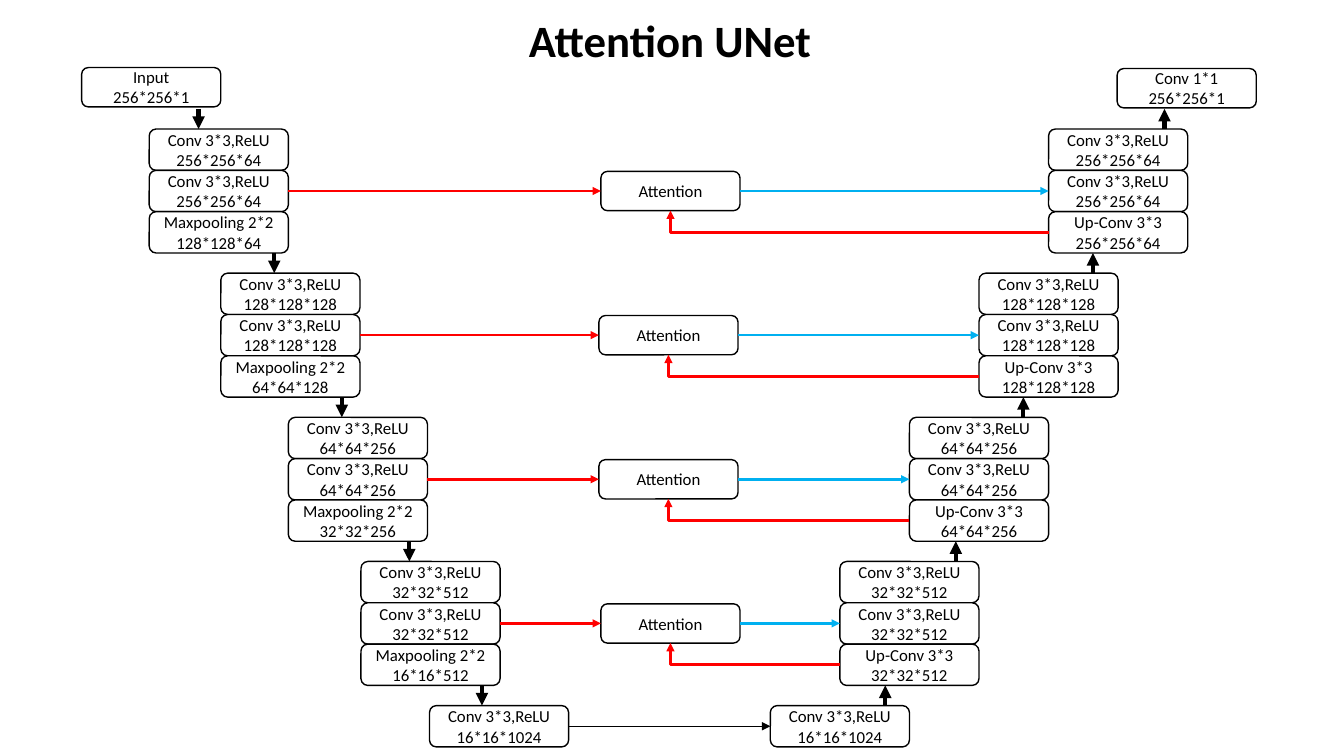
from pptx import Presentation
from pptx.dml.color import RGBColor
from pptx.enum.shapes import MSO_CONNECTOR as CONN, MSO_SHAPE as SHAPE
from pptx.enum.text import MSO_ANCHOR as ANCHOR, PP_ALIGN as ALIGN
from pptx.oxml.ns import qn
from pptx.util import Pt
from lxml.etree import SubElement

PX = 9144  # 100 px to the inch
BLACK, WHITE, RED, BLUE = "000000", "FFFFFF", "FF0000", "00B0F0"
TOP, LEFT, BOTTOM, RIGHT = range(4)

BOX_W, BOX_H, SMALL_H = 138, 41, 39
LEVEL_TOP, LEVEL_PITCH = 128, 143
STACK_H = 3 * BOX_H
SIZES = ["256*256", "128*128", "64*64", "32*32", "16*16"]
CHANNELS = [64, 128, 256, 512, 1024]
ENCODER_X = [148, 219, 286, 358, 426]
DECODER_X = [1040, 971, 902, 833, 764]
ATTENTION_X = [596, 594, 594, 596]
DOWN_X = [197, 272, 339, 406, 478]
UP_X = [1155, 1084, 1015, 948, 878]


def rgb(color):
    return RGBColor.from_string(color)


def write(tf, lines, size, bold=False):
    tf.word_wrap = True
    for i, line in enumerate(lines):
        p = tf.paragraphs[0] if i == 0 else tf.add_paragraph()
        p.text = line
        p.alignment = ALIGN.CENTER
        p.font.name, p.font.size, p.font.bold = "Calibri", Pt(size), bold
        p.font.color.rgb = rgb(BLACK)


def add_box(s, x, y, h, *lines):
    sp = s.shapes.add_shape(SHAPE.ROUNDED_RECTANGLE, x * PX, y * PX, BOX_W * PX, h * PX)
    sp.shadow.inherit = False
    sp.fill.solid()
    sp.fill.fore_color.rgb = rgb(WHITE)
    sp.line.color.rgb = rgb(BLACK)
    sp.line.width = Pt(1)
    sp.text_frame.vertical_anchor = ANCHOR.MIDDLE
    write(sp.text_frame, lines, 12)
    return sp


def add_arrow(s, x1, y1, x2, y2, color=BLACK, width=3, kind=CONN.STRAIGHT):
    line = s.shapes.add_connector(kind, x1 * PX, y1 * PX, x2 * PX, y2 * PX)
    line.line.color.rgb = rgb(color)
    line.line.width = Pt(width)
    sp_pr = line._element.spPr
    SubElement(sp_pr.find(qn("a:ln")), qn("a:tailEnd"), type="triangle")
    SubElement(sp_pr, qn("a:effectLst"))
    return line


def join(s, start, start_side, end, end_side, color, width=1.75, kind=CONN.STRAIGHT):
    line = add_arrow(s, 0, 0, 0, 0, color, width, kind)
    line.begin_connect(start, start_side)
    line.end_connect(end, end_side)
    return line


def join_with_one_bend(s, start, start_side, end, end_side, color):
    line = join(s, start, start_side, end, end_side, color, kind=CONN.ELBOW)
    line._element.spPr.find(qn("a:prstGeom")).set("prst", "bentConnector2")


def add_stack(s, x, y, rows):
    return [add_box(s, x, y + i * BOX_H, BOX_H, *row) for i, row in enumerate(rows)]


def add_level(s, i, y):
    """Encoder stack, attention gate and decoder stack of one resolution."""
    shape = f"{SIZES[i]}*{CHANNELS[i]}"
    conv = ("Conv 3*3,ReLU", shape)
    pool = ("Maxpooling 2*2", f"{SIZES[i + 1]}*{CHANNELS[i]}")
    encoder = add_stack(s, ENCODER_X[i], y, [conv, conv, pool])
    decoder = add_stack(s, DECODER_X[i], y, [conv, conv, ("Up-Conv 3*3", shape)])
    gate_y = y + BOX_H + (BOX_H - SMALL_H) // 2
    gate = add_box(s, ATTENTION_X[i], gate_y, SMALL_H, "Attention")
    join(s, encoder[1], RIGHT, gate, LEFT, RED)
    join(s, gate, RIGHT, decoder[1], LEFT, BLUE)
    join_with_one_bend(s, decoder[2], LEFT, gate, BOTTOM, RED)


def add_bottleneck(s, y):
    lines = ("Conv 3*3,ReLU", f"{SIZES[-1]}*{CHANNELS[-1]}")
    encoder = add_box(s, ENCODER_X[-1], y, BOX_H, *lines)
    decoder = add_box(s, DECODER_X[-1], y, BOX_H, *lines)
    join(s, encoder, RIGHT, decoder, LEFT, BLACK, 0.5)


def add_step_arrows(s, y, bottom, down_x, up_x):
    add_arrow(s, down_x, y, down_x, bottom)
    add_arrow(s, up_x, bottom, up_x, y)


def add_title(s, x, y, w, h):
    box = s.shapes.add_textbox(x * PX, y * PX, w * PX, h * PX)
    write(box.text_frame, ["Attention UNet"], 32, bold=True)


def main():
    prs = Presentation()
    prs.slide_width, prs.slide_height = 1333 * PX, 750 * PX
    s = prs.slides.add_slide(prs.slide_layouts[6])
    add_title(s, 415, 8, 499, 64)
    add_box(s, 81, 67, SMALL_H, "Input", "256*256*1")
    add_box(s, 1108, 68, SMALL_H, "Conv 1*1", "256*256*1")
    tops = [LEVEL_TOP + i * LEVEL_PITCH for i in range(len(SIZES))]
    for i, y in enumerate(tops[:-1]):
        add_level(s, i, y)
    add_bottleneck(s, tops[-1])
    gap = LEVEL_PITCH - STACK_H
    for y, down_x, up_x in zip(tops, DOWN_X, UP_X):
        add_step_arrows(s, y - gap, y, down_x, up_x)
    prs.save("out.pptx")


if __name__ == "__main__":
    main()
